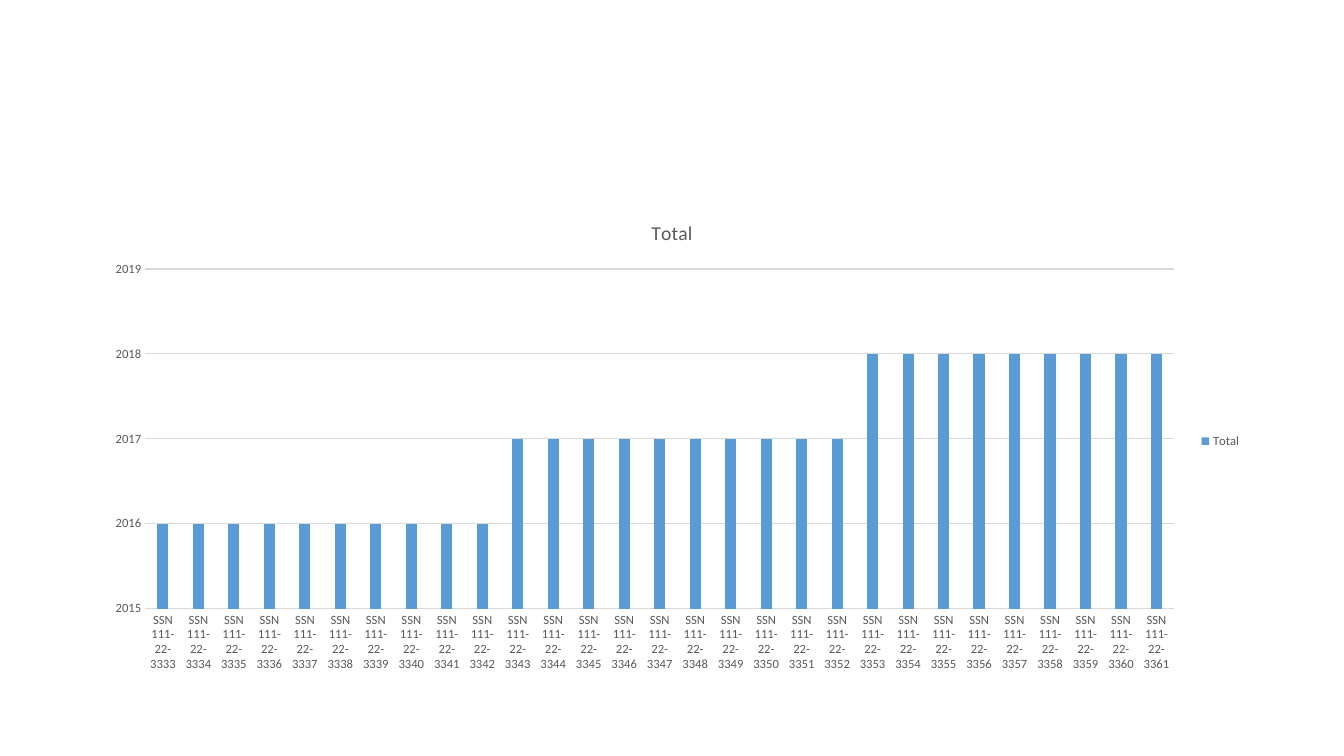
"""Build a slide with a column chart of yearly totals by SSN."""
import dataclasses

import pptx
import pptx.chart.data
import pptx.dml.color
import pptx.enum.chart
import pptx.util

Cm = pptx.util.Cm
Pt = pptx.util.Pt


@dataclasses.dataclass(frozen=True)
class Theme:
    """Font, colours and type sizes of the slide."""
    font: str = "Calibri"
    text: str = "595959"
    grid: str = "D9D9D9"
    bar: str = "5B9BD5"
    title_size: int = 14
    label_size: int = 9
    line_width: float = 0.75


THEME = Theme()
FIRST_NUMBER = 3333
YEARS = [2016] * 10 + [2017] * 10 + [2018] * 9


def rgb(value):
    """Return a colour from its hex code."""
    return pptx.dml.color.RGBColor.from_string(value)


def style_font(font, size):
    """Set the theme font and text colour at a size."""
    font.name = THEME.font
    font.size = Pt(size)
    font.bold = False
    font.color.rgb = rgb(THEME.text)


def style_line(line):
    """Give a line the grid colour and width."""
    line.color.rgb = rgb(THEME.grid)
    line.width = Pt(THEME.line_width)


def style_axis(axis):
    """Remove tick marks and style the labels of an axis."""
    axis.major_tick_mark = pptx.enum.chart.XL_TICK_MARK.NONE
    axis.minor_tick_mark = pptx.enum.chart.XL_TICK_MARK.NONE
    style_font(axis.tick_labels.font, THEME.label_size)


def style_axes(chart):
    """Style both axes and set the value scale."""
    categories, values = chart.category_axis, chart.value_axis
    style_axis(categories)
    style_line(categories.format.line)
    style_axis(values)
    values.minimum_scale, values.maximum_scale = 2015, 2019
    values.major_unit = 1
    values.format.line.fill.background()
    values.has_major_gridlines = True
    style_line(values.major_gridlines.format.line)


def style_title(chart, text):
    """Write the chart title."""
    chart.has_title = True
    tf = chart.chart_title.text_frame
    tf.text = text
    style_font(tf.paragraphs[0].font, THEME.title_size)
    chart.chart_title.include_in_layout = False


def style_legend(chart):
    """Put the legend to the right of the plot."""
    chart.has_legend = True
    chart.legend.position = pptx.enum.chart.XL_LEGEND_POSITION.RIGHT
    chart.legend.include_in_layout = False
    style_font(chart.legend.font, THEME.label_size)


def style_bars(chart):
    """Set the spacing and fill of the columns."""
    plot = chart.plots[0]
    plot.gap_width = 219
    plot.overlap = -27
    plot.vary_by_categories = False
    fill = plot.series[0].format.fill
    fill.solid()
    fill.fore_color.rgb = rgb(THEME.bar)


def add_total_chart(s):
    """Add the column chart of totals."""
    data = pptx.chart.data.CategoryChartData(number_format="General")
    data.categories = [f"SSN 111-22-{FIRST_NUMBER + i}" for i in range(len(YEARS))]
    data.add_series("Total", YEARS)
    chart = s.shapes.add_chart(
        pptx.enum.chart.XL_CHART_TYPE.COLUMN_CLUSTERED,
        Cm(2.33), Cm(5.07), Cm(29.21), Cm(12.09), data).chart
    chart.font.name = THEME.font
    chart.font.size = Pt(10)
    style_title(chart, "Total")
    style_axes(chart)
    style_legend(chart)
    style_bars(chart)


def main():
    """Create the presentation and save it."""
    prs = pptx.Presentation()
    prs.slide_width, prs.slide_height = Cm(33.87), Cm(19.05)
    s = prs.slides.add_slide(prs.slide_layouts.get_by_name("Blank"))
    add_total_chart(s)
    prs.save("out.pptx")


main()
